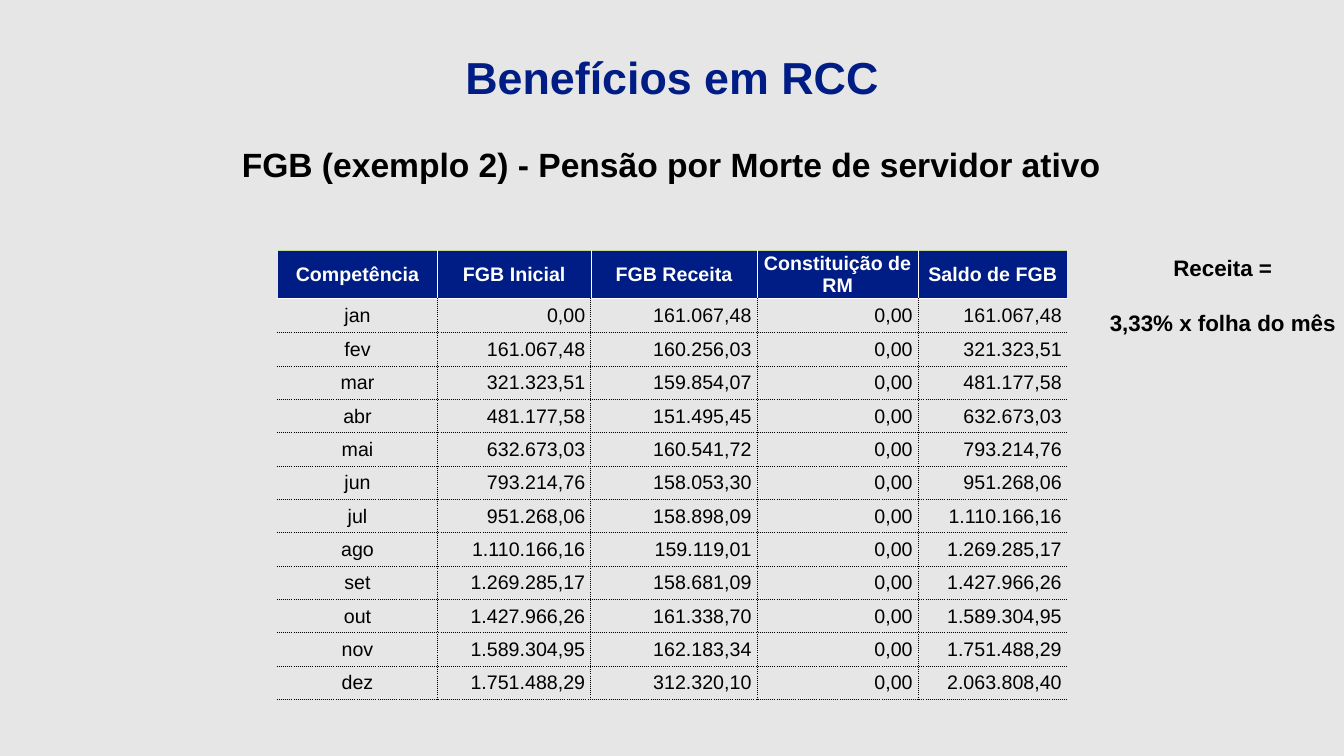
from dataclasses import dataclass

import pptx
import pptx.dml.color
import pptx.enum.dml
import pptx.enum.text
import pptx.oxml
import pptx.oxml.ns
import pptx.util

Cm = pptx.util.Cm
Pt = pptx.util.Pt
ALIGN = pptx.enum.text.PP_ALIGN
ANCHOR = pptx.enum.text.MSO_ANCHOR
AUTO_SIZE = pptx.enum.text.MSO_AUTO_SIZE


@dataclass(frozen=True)
class Theme:
    font: str = "Arial"
    background: str = "E6E6E6"
    navy: str = "001D85"
    black: str = "000000"
    white: str = "FFFFFF"
    green: str = "C4D79B"
    title_size: int = 32
    subtitle_size: int = 24
    note_size: int = 16
    table_size: int = 14


HEADERS = ["Competência", "FGB Inicial", "FGB Receita", "Constituição de RM", "Saldo de FGB"]
COLUMN_WIDTHS = [4.04, 3.86, 4.19, 4.06, 3.76]
HEADER_HEIGHT, FIRST_HEIGHT, ROW_HEIGHT = 1.17, 0.88, 0.84
ZERO = "0,00"
MONTHS = [
    ("jan", "161.067,48", "161.067,48"),
    ("fev", "160.256,03", "321.323,51"),
    ("mar", "159.854,07", "481.177,58"),
    ("abr", "151.495,45", "632.673,03"),
    ("mai", "160.541,72", "793.214,76"),
    ("jun", "158.053,30", "951.268,06"),
    ("jul", "158.898,09", "1.110.166,16"),
    ("ago", "159.119,01", "1.269.285,17"),
    ("set", "158.681,09", "1.427.966,26"),
    ("out", "161.338,70", "1.589.304,95"),
    ("nov", "162.183,34", "1.751.488,29"),
    ("dez", "312.320,10", "2.063.808,40"),
]


def month_rows():
    """Each month opens with the closing balance of the month before."""
    opening = ZERO
    rows = []
    for month, income, closing in MONTHS:
        rows.append([month, opening, income, ZERO, closing])
        opening = closing
    return rows


class SlideBuilder:
    def __init__(self, presentation, theme):
        self.theme = theme
        self.slide = presentation.slides.add_slide(presentation.slide_layouts[5])
        fill = self.slide.background.fill
        fill.solid()
        fill.fore_color.rgb = self.color(theme.background)

    def color(self, value):
        return pptx.dml.color.RGBColor.from_string(value)

    def add_run(self, paragraph, text, size, color, bold=True, align=ALIGN.CENTER):
        paragraph.alignment = align
        run = paragraph.add_run()
        run.text = text
        run.font.name = self.theme.font
        run.font.size = Pt(size)
        run.font.bold = bold
        run.font.color.rgb = self.color(color)

    def title(self, text, left, top, width, height):
        shape = self.slide.shapes.title
        shape.left, shape.top, shape.width, shape.height = map(Cm, (left, top, width, height))
        frame = shape.text_frame
        frame.word_wrap = True
        frame.auto_size = AUTO_SIZE.SHAPE_TO_FIT_TEXT
        frame.vertical_anchor = ANCHOR.TOP
        self.add_run(frame.paragraphs[0], text, self.theme.title_size, self.theme.navy)

    def text(self, lines, left, top, width, height, size, wrap=True, gap=0):
        shape = self.slide.shapes.add_textbox(*map(Cm, (left, top, width, height)))
        frame = shape.text_frame
        frame.word_wrap = wrap
        frame.auto_size = AUTO_SIZE.SHAPE_TO_FIT_TEXT
        for index, line in enumerate(lines):
            paragraph = frame.add_paragraph() if index else frame.paragraphs[0]
            if index:
                paragraph.space_before = Pt(gap)
            self.add_run(paragraph, line, size, self.theme.black)

    def borders(self, cell, **sides):
        """Set the L, R, T and B borders, each as (colour, points, dash)."""
        properties = cell._tc.get_or_add_tcPr()
        for position, side in enumerate("LRTB"):
            color, width, dash = sides[side]
            line = pptx.oxml.parse_xml(
                f'<a:ln{side} {pptx.oxml.ns.nsdecls("a")} w="{Pt(width)}">'
                f'<a:solidFill><a:srgbClr val="{color}"/></a:solidFill>'
                f'<a:prstDash val="{dash}"/></a:ln{side}>'
            )
            properties.insert(position, line)

    def cell(self, cell, text, row, column):
        theme = self.theme
        is_header = row == 0
        is_number = not is_header and column > 0
        cell.margin_left = cell.margin_right = cell.margin_top = cell.margin_bottom = 0
        cell.vertical_anchor = ANCHOR.MIDDLE
        if is_header:
            cell.fill.solid()
            cell.fill.fore_color.rgb = self.color(theme.navy)
        else:
            cell.fill.background()
        if is_number:
            cell.margin_right = Cm(0.14)
        self.add_run(
            cell.text_frame.paragraphs[0], text, theme.table_size,
            theme.white if is_header else theme.black, is_header,
            ALIGN.RIGHT if is_number else ALIGN.CENTER,
        )
        outer = (theme.background, 1, "solid")
        white = (theme.white, 0.5, "solid")
        inner = white if is_header else (theme.black, 1, "sysDot")
        top = {0: (theme.green, 0.5, "solid"), 1: white}.get(row, inner)
        self.borders(
            cell, T=top, B=inner,
            L=outer if column == 0 else inner,
            R=outer if column == len(HEADERS) - 1 else inner,
        )

    def table(self, rows, left, top, widths, heights):
        frame = self.slide.shapes.add_table(
            len(rows), len(widths), Cm(left), Cm(top), Cm(sum(widths)), Cm(sum(heights))
        )
        table = frame.table
        table.first_row = table.horz_banding = False
        for column, width in zip(table.columns, widths):
            column.width = Cm(width)
        for row, height in zip(table.rows, heights):
            row.height = Cm(height)
        for row_index, values in enumerate(rows):
            for column_index, value in enumerate(values):
                self.cell(table.cell(row_index, column_index), value, row_index, column_index)


def main():
    presentation = pptx.Presentation()
    presentation.slide_width = Cm(33.87)
    presentation.slide_height = Cm(19.05)
    theme = Theme()
    builder = SlideBuilder(presentation, theme)
    builder.title("Benefícios em RCC", 5.46, 1.12, 22.96, 1.63)
    builder.text(
        ["FGB (exemplo 2) - Pensão por Morte de servidor ativo"],
        5.51, 3.51, 22.81, 1.27, theme.subtitle_size,
    )
    heights = [HEADER_HEIGHT, FIRST_HEIGHT] + [ROW_HEIGHT] * (len(MONTHS) - 1)
    builder.table([HEADERS] + month_rows(), 6.99, 6.32, COLUMN_WIDTHS, heights)
    builder.text(
        ["Receita =", "3,33% x folha do mês"],
        27.64, 6.27, 6.35, 2.31, theme.note_size, wrap=False, gap=20,
    )
    presentation.save("out.pptx")


if __name__ == "__main__":
    main()
